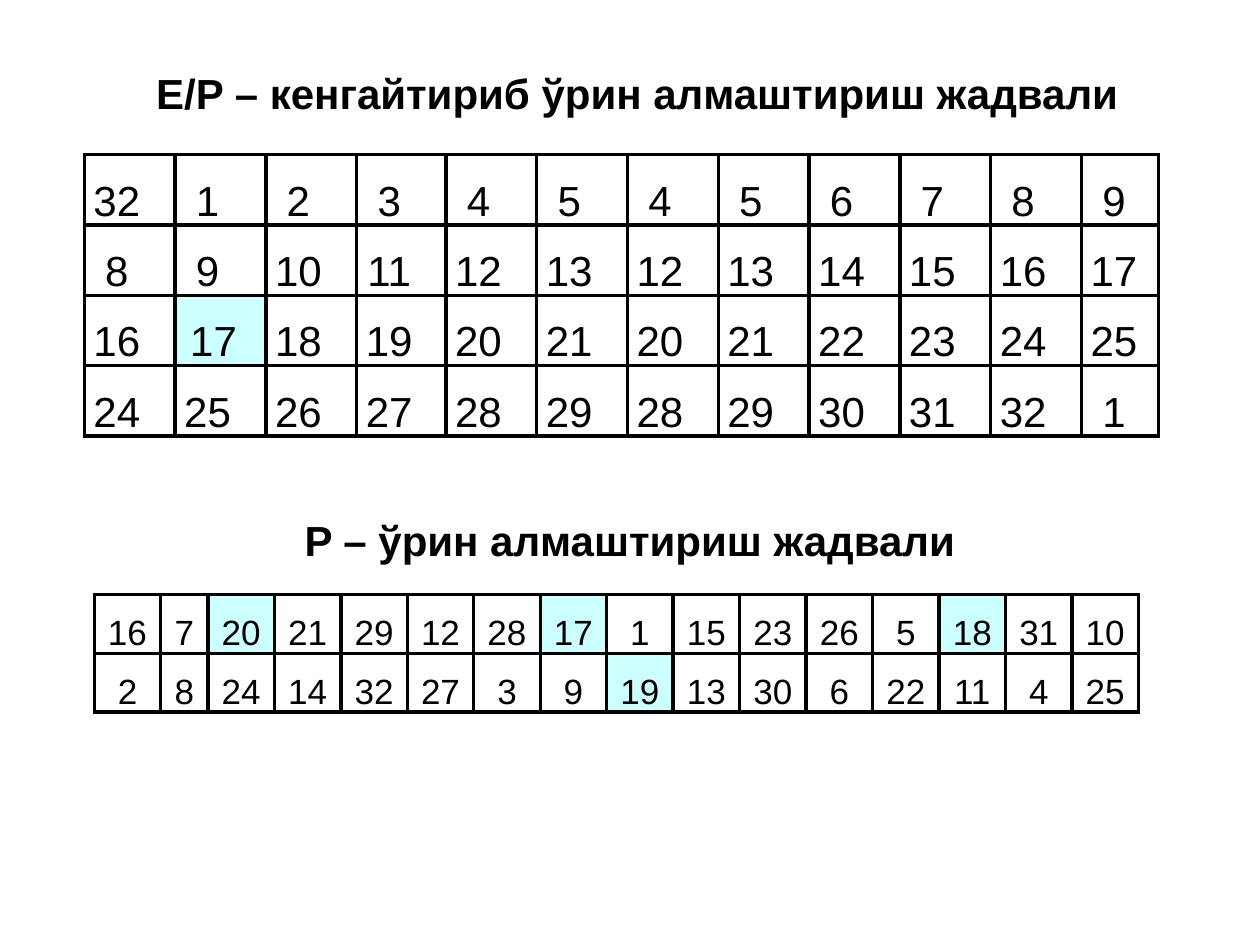
from lxml.etree import SubElement
from pptx import Presentation
from pptx.dml.color import RGBColor
from pptx.enum.text import MSO_ANCHOR, PP_ALIGN
from pptx.oxml.ns import qn
from pptx.util import Cm, Pt

THEME = {
    "font": "Arial",
    "ink": "000000",
    "highlight": "CCFFFF",
    "title_size": 24,
    "expansion_size": 24,
    "permutation_size": 20,
    "border_width": 2.25,
    "line_spacing": 1.5,
}

TITLES = [
    ("E/P – кенгайтириб ўрин алмаштириш жадвали", (2.9, 1.24, 20.09, 1.27)),
    ("P – ўрин алмаштириш жадвали", (5.89, 10.24, 13.77, 1.27)),
]

EXPANSION = {
    "rows": [
        [32, 1, 2, 3, 4, 5, 4, 5, 6, 7, 8, 9],
        [8, 9, 10, 11, 12, 13, 12, 13, 14, 15, 16, 17],
        [16, 17, 18, 19, 20, 21, 20, 21, 22, 23, 24, 25],
        [24, 25, 26, 27, 28, 29, 28, 29, 30, 31, 32, 1],
    ],
    "highlighted": {(2, 1)},
    "left": 1.7,
    "top": 3.12,
    "widths": [1.83] * 3 + [1.8] + [1.83] * 7 + [1.55],
    "row_height": 1.4,
    "size": THEME["expansion_size"],
    "anchor": MSO_ANCHOR.MIDDLE,
    "padding": 0.08,
    "trailing": 0.24,
    "even_indent": True,
}

PERMUTATION = {
    "rows": [
        [16, 7, 20, 21, 29, 12, 28, 17, 1, 15, 23, 26, 5, 18, 31, 10],
        [2, 8, 24, 14, 32, 27, 3, 9, 19, 13, 30, 6, 22, 11, 4, 25],
    ],
    "highlighted": {(0, 2), (0, 7), (0, 13), (1, 8)},
    "left": 1.9,
    "top": 11.99,
    "widths": [1.34, 0.95] + [1.34] * 14,
    "row_height": 1.15,
    "size": THEME["permutation_size"],
    "anchor": MSO_ANCHOR.TOP,
    "padding": 0.18,
    "trailing": 0,
    "even_indent": False,
}


def write(frame, text, *, size, bold=False, align=PP_ALIGN.LEFT, spacing=None):
    paragraph = frame.paragraphs[0]
    paragraph.alignment = align
    paragraph.line_spacing = spacing
    run = paragraph.add_run()
    run.text = text
    run.font.name = THEME["font"]
    run.font.size = Pt(size)
    run.font.bold = bold
    run.font.color.rgb = RGBColor.from_string(THEME["ink"])


def add_title(slide, title, place):
    box = slide.shapes.add_textbox(*map(Cm, place))
    box.text_frame.word_wrap = False
    write(box.text_frame, title, size=THEME["title_size"], bold=True)


def add_borders(cell):
    properties = cell._tc.get_or_add_tcPr()
    for side in ("a:lnL", "a:lnR", "a:lnT", "a:lnB"):
        border = SubElement(properties, qn(side), w=str(Pt(THEME["border_width"])))
        ink = SubElement(border, qn("a:solidFill"))
        SubElement(ink, qn("a:srgbClr"), val=THEME["ink"])


def add_grid(slide, grid):
    rows, widths = grid["rows"], grid["widths"]
    table = slide.shapes.add_table(
        len(rows), len(widths), Cm(grid["left"]), Cm(grid["top"]),
        Cm(sum(widths)), Cm(grid["row_height"] * len(rows)),
    ).table
    table.first_row = False
    table.horz_banding = False
    for column, width in zip(table.columns, widths):
        column.width = Cm(width)
    for r, numbers in enumerate(rows):
        table.rows[r].height = Cm(grid["row_height"])
        for c, number in enumerate(numbers):
            cell = table.cell(r, c)
            highlighted = (r, c) in grid["highlighted"]
            surplus = widths[c] - min(widths) if grid["even_indent"] else 0
            trailing = 0 if highlighted else grid["trailing"]
            cell.margin_left = Cm(grid["padding"])
            cell.margin_right = Cm(grid["padding"] + surplus + trailing)
            cell.margin_top = cell.margin_bottom = 0
            cell.vertical_anchor = grid["anchor"]
            add_borders(cell)
            if highlighted:
                cell.fill.solid()
                cell.fill.fore_color.rgb = RGBColor.from_string(THEME["highlight"])
            else:
                cell.fill.background()
            write(cell.text_frame, str(number), size=grid["size"],
                  align=PP_ALIGN.CENTER, spacing=THEME["line_spacing"])


def main():
    deck = Presentation()
    deck.slide_width, deck.slide_height = Cm(25.4), Cm(19.05)
    slide = deck.slides.add_slide(deck.slide_layouts[6])
    for grid in (EXPANSION, PERMUTATION):
        add_grid(slide, grid)
    for title, place in TITLES:
        add_title(slide, title, place)
    deck.save("out.pptx")


if __name__ == "__main__":
    main()
